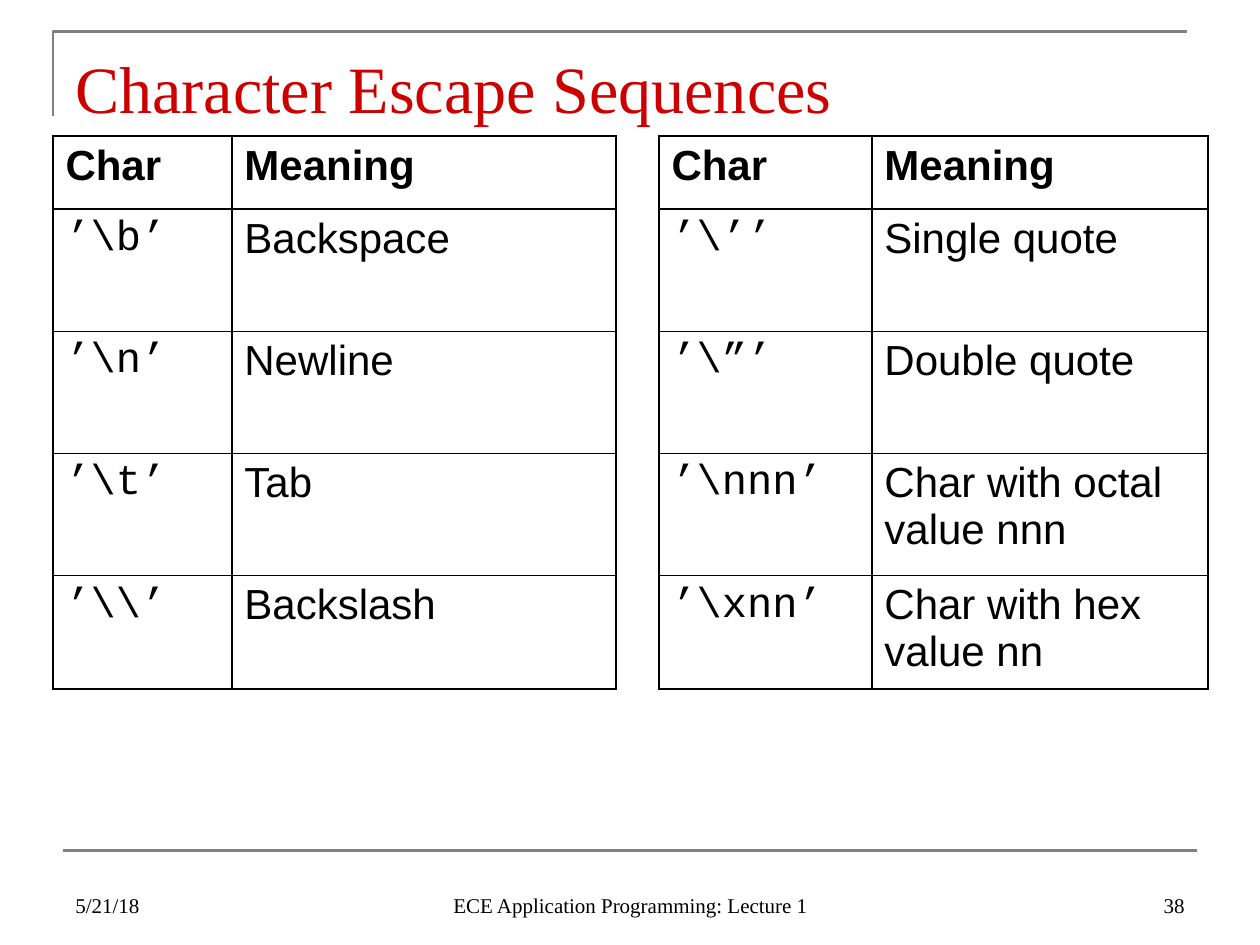
from lxml import etree
from pptx import Presentation
from pptx.dml.color import RGBColor
from pptx.enum import shapes, text
from pptx.oxml import ns
from pptx.util import Inches, Pt

RED = RGBColor(0xCC, 0x00, 0x00)
GRAY = RGBColor(0x80, 0x80, 0x80)
BLACK = RGBColor(0x00, 0x00, 0x00)
SERIF, SANS, MONO = "Times New Roman", "Arial", "Courier New"

COLS = [1.42, 3.05, 0.34, 1.69, 2.67]
ROWS = [0.58, 0.97, 0.97, 0.97, 0.9]
GAP = 2
CODES = [
    ["Char", "Meaning", "", "Char", "Meaning"],
    [r"’\b’", "Backspace", "", r"’\’’", "Single quote"],
    [r"’\n’", "Newline", "", r"’\”’", "Double quote"],
    [r"’\t’", "Tab", "", r"’\nnn’", "Char with octal value nnn"],
    [r"’\\’", "Backslash", "", r"’\xnn’", "Char with hex value nn"],
]


class Deck:
    def __init__(self):
        self.prs = Presentation()
        self.prs.slide_width, self.prs.slide_height = Inches(10), Inches(7.5)
        self.slide = self.prs.slides.add_slide(self.prs.slide_layouts[6])
        self.items = self.slide.shapes

    def put(self, para, words, size, font, color=BLACK, bold=False):
        """Add one styled run to the paragraph."""
        run = para.add_run()
        run.text = words
        run.font.size, run.font.name, run.font.bold = Pt(size), font, bold
        run.font.color.rgb = color

    def label(self, box, words, size=12, color=BLACK,
              align=text.PP_ALIGN.LEFT, anchor=text.MSO_ANCHOR.BOTTOM):
        frame = self.items.add_textbox(*map(Inches, box)).text_frame
        frame.word_wrap = True
        frame.vertical_anchor = anchor
        para = frame.paragraphs[0]
        para.alignment = align
        self.put(para, words, size, SERIF, color)

    def stroke(self, shape):
        shape.line.color.rgb = GRAY
        shape.line.width = Pt(1.5)

    def corner(self, points):
        """Draw an open outline through the points."""
        spots = [(Inches(x), Inches(y)) for x, y in points]
        pen = self.items.build_freeform(*spots[0])
        pen.add_line_segments(spots[1:], close=False)
        shape = pen.convert_to_shape()
        shape.fill.background()
        shape.shadow.inherit = False
        self.stroke(shape)

    def rule(self, start, end):
        line = self.items.add_connector(
            shapes.MSO_CONNECTOR.STRAIGHT, *map(Inches, start + end))
        self.stroke(line)
        etree.SubElement(line._element.spPr, ns.qn("a:effectLst"))

    def border(self, cell, sides):
        """Rule the given sides in black and clear the others."""
        props = cell._tc.get_or_add_tcPr()
        for side in "LRTB":
            edge = etree.SubElement(props, ns.qn("a:ln" + side), w=str(Pt(1)))
            if side in sides:
                fill = etree.SubElement(edge, ns.qn("a:solidFill"))
                etree.SubElement(fill, ns.qn("a:srgbClr"), val=str(BLACK))
            else:
                etree.SubElement(edge, ns.qn("a:noFill"))

    def table(self, left, top, cols, rows, data):
        frame = self.items.add_table(
            len(rows), len(cols), Inches(left), Inches(top),
            Inches(sum(cols)), Inches(sum(rows)))
        grid = frame.table
        grid.first_row = grid.horz_banding = False
        for col, width in zip(grid.columns, cols):
            col.width = Inches(width)
        for row, height in zip(grid.rows, rows):
            row.height = Inches(height)
        for r, line in enumerate(data):
            for c, words in enumerate(line):
                cell = grid.cell(r, c)
                self.border(cell, "LR" if c == GAP else "LRTB")
                cell.fill.background()
                if words:
                    font = MONO if r and c in (0, GAP + 1) else SANS
                    self.put(cell.text_frame.paragraphs[0], words, 24,
                             font, bold=r == 0)


def main():
    deck = Deck()
    deck.corner([(0.42, 0.92), (0.42, 0.25), (9.42, 0.25)])
    deck.rule((0.5, 6.75), (9.5, 6.75))
    deck.label((0.5, 0.3, 9, 0.78), "Character Escape Sequences", 37.8, RED,
               anchor=text.MSO_ANCHOR.MIDDLE)
    deck.table(0.42, 1.08, COLS, ROWS, CODES)
    deck.label((0.5, 6.83, 2.33, 0.5), "5/21/18")
    deck.label((3.42, 6.83, 3.17, 0.5), "ECE Application Programming: Lecture 1",
               align=text.PP_ALIGN.CENTER)
    deck.label((7.17, 6.83, 2.33, 0.5), "38", align=text.PP_ALIGN.RIGHT)
    deck.prs.save("out.pptx")


if __name__ == "__main__":
    main()
